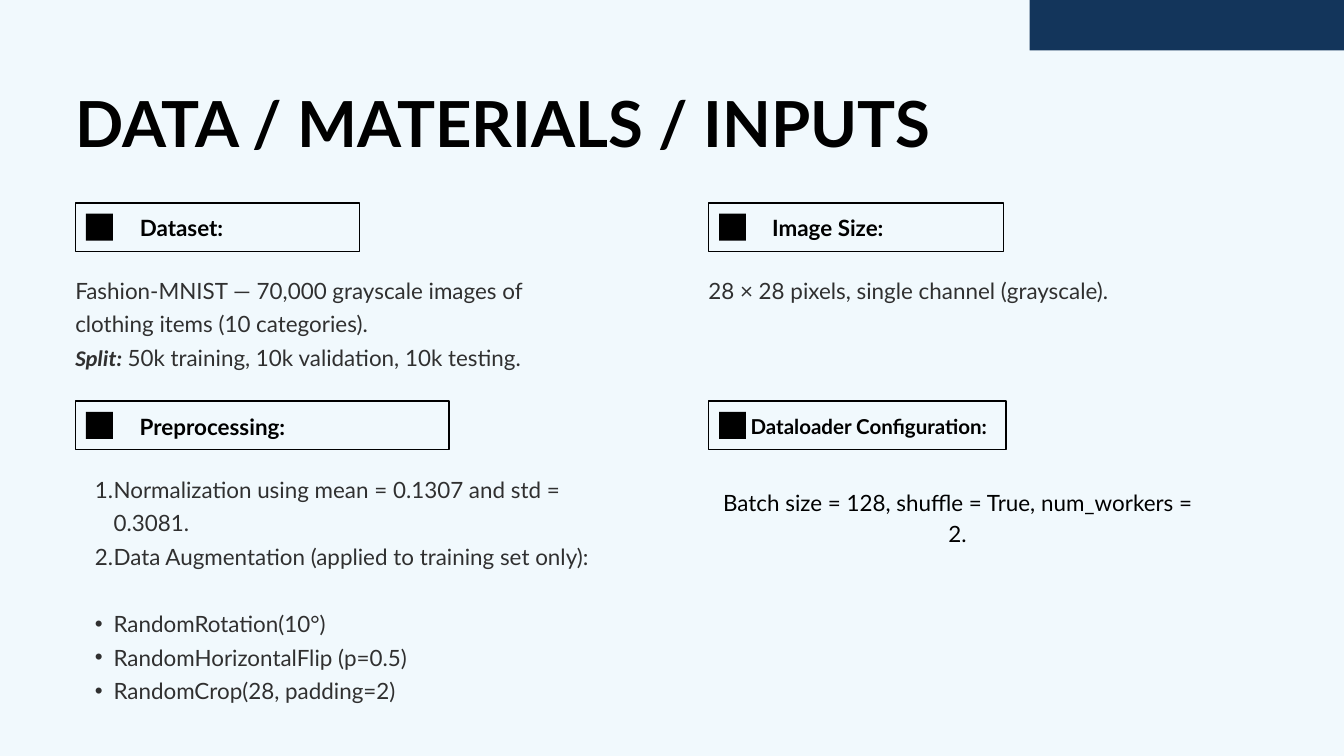
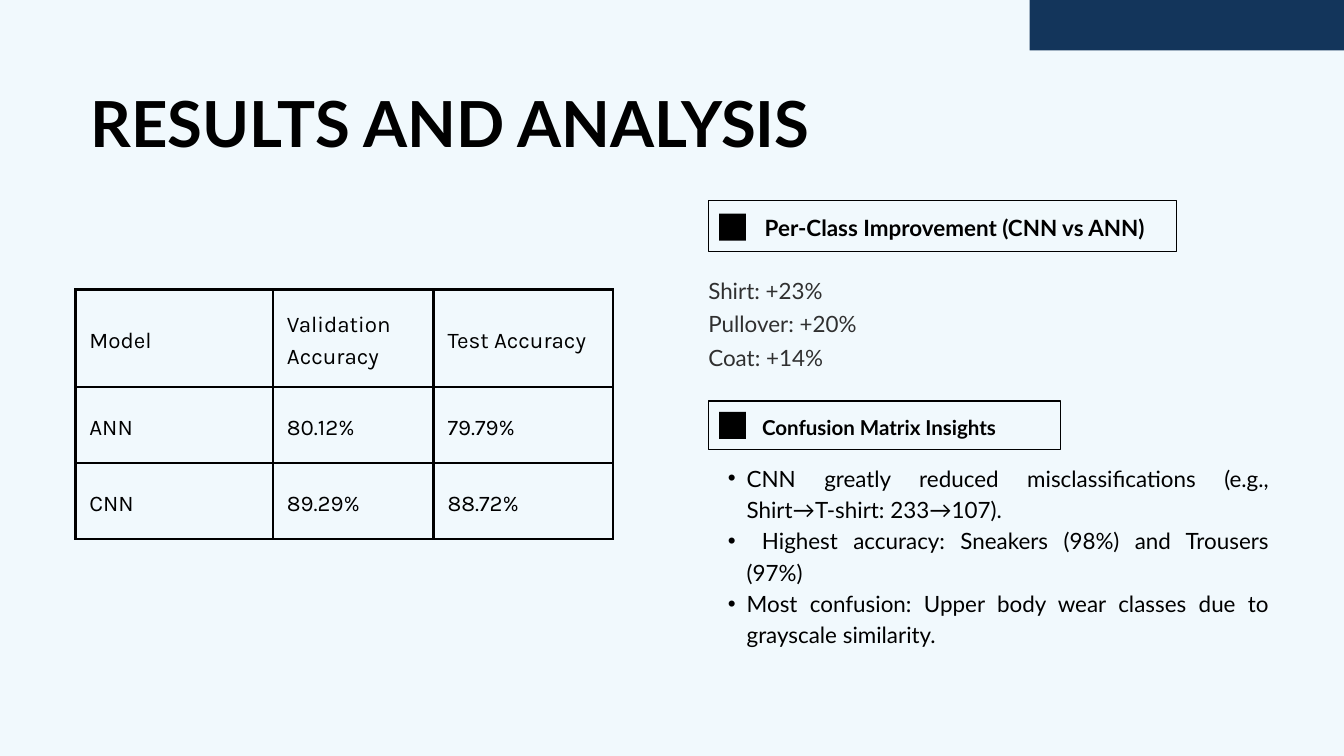
from lxml import etree
from pptx import Presentation
from pptx.dml.color import RGBColor
from pptx.enum.shapes import MSO_SHAPE
from pptx.enum.text import MSO_ANCHOR, MSO_AUTO_SIZE, PP_ALIGN
from pptx.oxml.ns import qn
from pptx.util import Inches, Pt

PALE = RGBColor(0xF1, 0xF9, 0xFD)
NAVY = RGBColor(0x13, 0x35, 0x5B)
BLACK = RGBColor(0, 0, 0)
GREY = RGBColor(0x30, 0x30, 0x30)
FONT = "Lato"
WIDE, HIGH = 20, 11.25
COLS = (1.12, 10.54)
ROWS = (3.02, 5.97)
PAIR, DUO = 4, 3


def write(par, text, size, color, bold=False, italic=False, name=FONT):
    run = par.add_run()
    run.text = text
    font = run.font
    font.name, font.size, font.bold, font.italic = name, Pt(size), bold, italic
    font.color.rgb = color


def clear(shape):
    frame = shape.text_frame
    frame.word_wrap = True
    frame.auto_size = MSO_AUTO_SIZE.NONE
    frame.vertical_anchor = MSO_ANCHOR.TOP
    frame.margin_left = frame.margin_right = 0
    frame.margin_top = frame.margin_bottom = 0
    return frame


def move(shape, left, top, width, height):
    shape.left, shape.top = Inches(left), Inches(top)
    shape.width, shape.height = Inches(width), Inches(height)


def space(par, pitch, before=0, align=PP_ALIGN.LEFT):
    par.line_spacing = Pt(pitch)
    par.space_before = Pt(before)
    par.space_after = Pt(0)
    par.alignment = align


def mark(par, kind):
    props = par._p.get_or_add_pPr()
    left, hang = (0.57, -0.28) if kind else (0, 0)
    props.set("marL", str(Inches(left)))
    props.set("indent", str(Inches(hang)))
    if kind == "dot":
        etree.SubElement(props, qn("a:buFont")).set("typeface", "Arial")
        etree.SubElement(props, qn("a:buChar")).set("char", "•")
    elif kind == "num":
        etree.SubElement(props, qn("a:buFont")).set("typeface", FONT)
        etree.SubElement(props, qn("a:buAutoNum")).set("type", "arabicPeriod")
    else:
        etree.SubElement(props, qn("a:buNone"))


def block(slide, idx, area, lines, color=GREY, pitch=36, align=PP_ALIGN.LEFT):
    shape = slide.placeholders[idx]
    move(shape, *area)
    frame = clear(shape)
    for i, (kind, before, runs) in enumerate(lines):
        par = frame.add_paragraph() if i else frame.paragraphs[0]
        mark(par, kind)
        space(par, pitch, before, align)
        for text, style in runs:
            write(par, text, 24, color, **style)


def line(text, kind=None, before=0):
    return kind, before, [(text, {})]


def box(slide, left, top, width, height, fill=None):
    shape = slide.shapes.add_shape(MSO_SHAPE.RECTANGLE, 0, 0, 0, 0)
    move(shape, left, top, width, height)
    shape.shadow.inherit = False
    if fill is None:
        shape.fill.background()
        shape.line.color.rgb = BLACK
        shape.line.width = Pt(1.5)
    else:
        shape.fill.solid()
        shape.fill.fore_color.rgb = fill
        shape.line.fill.background()


def label(slide, col, row, width, text, shift, span, drop=0.07, size=24, rise=0):
    left, top = COLS[col], ROWS[row]
    box(slide, left, top - rise, width, 0.72 + rise)
    box(slide, left + 0.16, top + 0.16, 0.4, 0.4, BLACK)
    shape = slide.shapes.add_textbox(0, 0, 0, 0)
    move(shape, left + shift, top + drop, span, size * 1.5 / 72)
    par = clear(shape).paragraphs[0]
    space(par, size * 1.5)
    write(par, text, size, BLACK, bold=True)


def start(deck, layout, text):
    slide = deck.slides.add_slide(deck.slide_layouts[layout])
    box(slide, 15.32, 0, WIDE - 15.32, 0.75, NAVY)
    title = slide.shapes.title
    move(title, COLS[0], 1.35, 13.57, 1.04)
    par = clear(title).paragraphs[0]
    space(par, 74.8)
    write(par, text, 68, BLACK, bold=True)
    return slide


def edge(cell):
    props = cell._tc.get_or_add_tcPr()
    for side in ("a:lnL", "a:lnR", "a:lnT", "a:lnB"):
        rule = etree.SubElement(props, qn(side), w=str(Pt(3)))
        fill = etree.SubElement(rule, qn("a:solidFill"))
        etree.SubElement(fill, qn("a:srgbClr")).set("val", str(BLACK))


def grid(slide, left, top, widths, heights, rows):
    table = slide.shapes.add_table(
        len(heights), len(widths), Inches(left), Inches(top),
        Inches(sum(widths)), Inches(sum(heights))).table
    table.first_row = table.horz_banding = False
    for col, width in zip(table.columns, widths):
        col.width = Inches(width)
    for row, height, texts in zip(table.rows, heights, rows):
        row.height = Inches(height)
        for cell, text in zip(row.cells, texts):
            edge(cell)
            cell.fill.background()
            cell.vertical_anchor = MSO_ANCHOR.MIDDLE
            cell.margin_left = cell.margin_right = Inches(0.21)
            cell.margin_top = cell.margin_bottom = Inches(0.21)
            par = cell.text_frame.paragraphs[0]
            space(par, 33.6)
            write(par, text, 24, BLACK, name="Karla")


def inputs(deck):
    slide = start(deck, PAIR, "DATA / MATERIALS / INPUTS")
    label(slide, 0, 0, 4.23, "Dataset:", 0.96, 2.69)
    label(slide, 1, 0, 4.39, "Image Size:", 0.95, 2.85)
    label(slide, 0, 1, 5.56, "Preprocessing:", 0.96, 4.03)
    label(slide, 1, 1, 4.43, "Dataloader Configuration:", 0.63, 4.69, 0.1, 22)
    split = [("Split: ", dict(bold=True, italic=True, name="Calibri")),
             ("50k training, 10k validation, 10k testing.", {})]
    block(slide, 1, (COLS[0], 4.02, 7.29, 1.49), [
        line("Fashion-MNIST — 70,000 grayscale images of clothing items (10 categories)."),
        (None, 0, split)])
    block(slide, 3, (COLS[1], 4.02, 7.29, 0.49),
          [line("28 × 28 pixels, single channel (grayscale).")])
    block(slide, 2, (COLS[0], 6.98, 7.83, 3.49), [
        line("Normalization using mean = 0.1307 and std = 0.3081.", "num"),
        line("Data Augmentation (applied to training set only):", "num"),
        line("RandomRotation(10°)", "dot", 36),
        line("RandomHorizontalFlip (p=0.5)", "dot"),
        line("RandomCrop(28, padding=2)", "dot")])
    block(slide, 4, (10.67, 7.21, 7.16, 0.45),
          [line("Batch size = 128, shuffle = True, num_workers = 2.")],
          BLACK, 33.6, PP_ALIGN.CENTER)


def results(deck):
    slide = start(deck, DUO, " RESULTS AND ANALYSIS")
    label(slide, 1, 0, 6.97, "Per-Class Improvement (CNN vs ANN)", 0.84, 6.77, rise=0.04)
    label(slide, 1, 1, 5.24, "Confusion Matrix Insights", 0.8, 4.69, 0.12, 22)
    grid(slide, COLS[0], 4.31, (2.94, 2.39, 2.67), (1.45, 1.13, 1.13), (
        ("Model", "Validation Accuracy", "Test Accuracy"),
        ("ANN", "80.12%", "79.79%"),
        ("CNN", "89.29%", "88.72%")))
    block(slide, 1, (COLS[1], 4.02, 7.29, 1.49),
          [line("Shirt: +23%"), line("Pullover: +20%"), line("Coat: +14%")])
    block(slide, 2, (COLS[1], 6.85, 8.34, 2.75), [
        line("CNN greatly reduced misclassifications (e.g., Shirt→T-shirt: 233→107).", "dot"),
        line(" Highest accuracy: Sneakers (98%) and Trousers (97%)", "dot"),
        line("Most confusion: Upper body wear classes due to grayscale similarity.", "dot")],
        BLACK, 33.6, PP_ALIGN.JUSTIFY)


def main():
    deck = Presentation()
    deck.slide_width, deck.slide_height = Inches(WIDE), Inches(HIGH)
    back = deck.slide_master.background.fill
    back.solid()
    back.fore_color.rgb = PALE
    inputs(deck)
    results(deck)
    deck.save("out.pptx")


if __name__ == "__main__":
    main()
